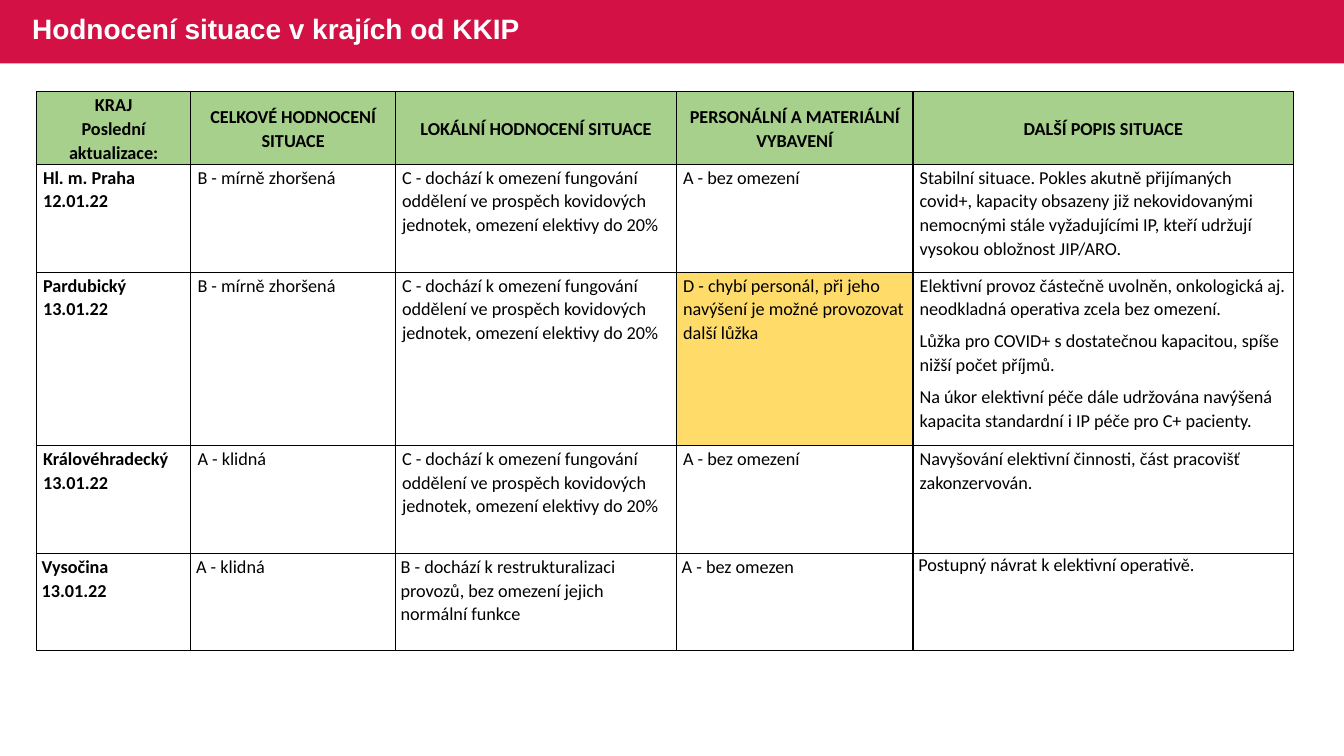
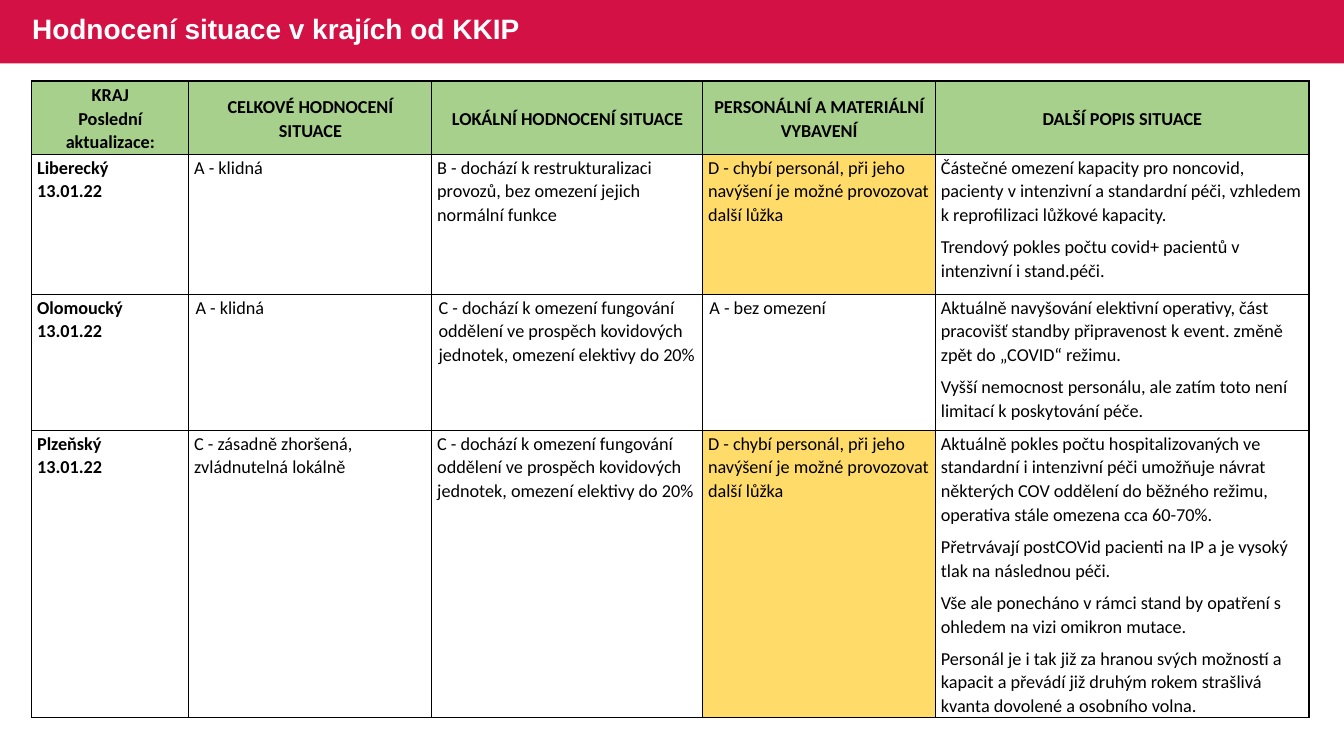
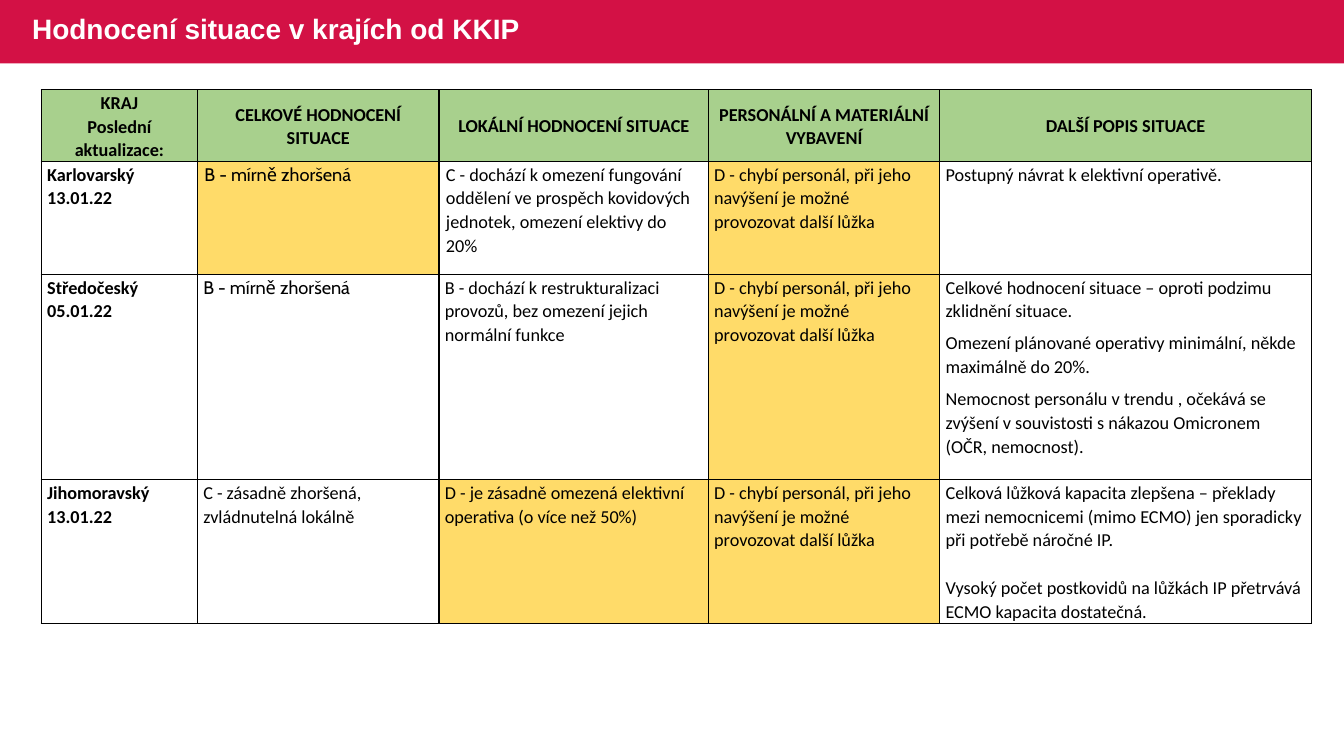
from dataclasses import dataclass

from lxml import etree
from pptx import Presentation
from pptx import util as u
from pptx.dml.color import RGBColor
from pptx.enum import shapes, text
from pptx.oxml import ns

Pt = u.Pt


@dataclass(frozen=True)
class Theme:
    band: str = "D31145"
    header: str = "A8D08D"
    alert: str = "FFDB69"
    paper: str = "FFFFFF"
    ink: str = "000000"
    title_font: str = "Arial"
    body_font: str = "Calibri"
    accent_font: str = "Cabin"
    title_size: float = 20
    body_size: float = 13
    line_spacing: float = 1.07
    border: float = 1


THEME = Theme()


@dataclass(frozen=True)
class Cell:
    words: str
    fill: str
    inset: float
    bold: bool = False
    centred: bool = False
    font: str = THEME.body_font
    gap: float = 0
    line_spacing: float = THEME.line_spacing


@dataclass(frozen=True)
class Region:
    name: str
    date: str
    overall: str
    local: str
    staffing: str
    description: str
    inset: float
    rating_inset: float | None = None
    staffing_inset: float | None = None
    overall_font: str = THEME.body_font
    overall_alert: bool = False
    description_gap: float = 6
    description_spacing: float = THEME.line_spacing


@dataclass(frozen=True)
class Overview:
    left: float
    top: float
    widths: tuple[float, ...]
    heights: tuple[float, ...]
    header_inset: float
    regions: tuple[Region, ...]


SLIDE_WIDTH, SLIDE_HEIGHT = 960, 540
BAND_HEIGHT = 45.4
TITLE = "Hodnocení situace v krajích od KKIP"
HEADINGS = (
    "KRAJ\nPoslední aktualizace:",
    "CELKOVÉ HODNOCENÍ SITUACE",
    "LOKÁLNÍ HODNOCENÍ SITUACE",
    "PERSONÁLNÍ A MATERIÁLNÍ VYBAVENÍ",
    "DALŠÍ POPIS SITUACE",
)

CALM = "A - klidná"
WORSE = "B - mírně zhoršená"
MUCH_WORSE = "C - zásadně zhoršená, zvládnutelná lokálně"
RESTRUCTURED = "B - dochází k restrukturalizaci provozů, bez omezení jejich normální funkce"
LIMITED = ("C - dochází k omezení fungování oddělení ve prospěch kovidových "
           "jednotek, omezení elektivy do 20%")
HEAVILY_LIMITED = "D - je zásadně omezená elektivní operativa (o více než 50%)"
UNRESTRICTED = "A - bez omezení"
UNDERSTAFFED = "D - chybí personál, při jeho navýšení je možné provozovat další lůžka"
RETURNING = "Postupný návrat k elektivní operativě."

OVERVIEWS = (
    Overview(
        26, 65.4, (110.3, 146.1, 200.8, 169, 271.8), (52, 77.2, 123.8, 77.2, 69), 4.8,
        (
            Region("Hl. m. Praha", "12.01.22", WORSE, LIMITED, UNRESTRICTED,
                   "Stabilní situace. Pokles akutně přijímaných covid+, kapacity obsazeny již "
                   "nekovidovanými nemocnými stále vyžadujícími IP, kteří udržují vysokou "
                   "obložnost JIP/ARO.", 4.8),
            Region("Pardubický", "13.01.22", WORSE, LIMITED, UNDERSTAFFED,
                   "Elektivní provoz částečně uvolněn, onkologická aj. neodkladná operativa "
                   "zcela bez omezení.\n"
                   "Lůžka pro COVID+ s dostatečnou kapacitou, spíše nižší počet příjmů.\n"
                   "Na úkor elektivní péče dále udržována navýšená kapacita standardní i IP "
                   "péče pro C+ pacienty.", 4.8),
            Region("Královéhradecký", "13.01.22", CALM, LIMITED, UNRESTRICTED,
                   "Navyšování elektivní činnosti, část pracovišť zakonzervován.", 4.8),
            Region("Vysočina", "13.01.22", CALM, RESTRUCTURED, "A - bez omezen",
                   RETURNING, 3.8, description_spacing=1),
        ),
    ),
    Overview(
        22.7, 57.9, (112.2, 173.6, 193.5, 166.3, 266.8), (52.4, 100, 97.2, 204.8), 3.8,
        (
            Region("Liberecký", "13.01.22", CALM, RESTRUCTURED, UNDERSTAFFED,
                   "Částečné omezení kapacity pro noncovid, pacienty v intenzivní a standardní "
                   "péči, vzhledem k reprofilizaci lůžkové kapacity.\n"
                   "Trendový pokles počtu covid+ pacientů v intenzivní i stand.péči.", 3.8),
            Region("Olomoucký", "13.01.22", CALM, LIMITED, UNRESTRICTED,
                   "Aktuálně navyšování elektivní operativy, část pracovišť standby "
                   "připravenost k event. změně zpět do „COVID“ režimu.\n"
                   "Vyšší nemocnost personálu, ale zatím toto není limitací k poskytování péče.",
                   3.8, rating_inset=4.8, staffing_inset=4.8),
            Region("Plzeňský", "13.01.22", MUCH_WORSE, LIMITED, UNDERSTAFFED,
                   "Aktuálně pokles počtu hospitalizovaných ve standardní i intenzivní péči "
                   "umožňuje návrat některých COV oddělení do běžného režimu, operativa stále "
                   "omezena cca 60-70%.\n"
                   "Přetrvávají postCOVid pacienti na IP a je vysoký tlak na následnou péči.\n"
                   "Vše ale ponecháno v rámci stand by opatření s ohledem na vizi omikron "
                   "mutace.\n"
                   "Personál je i tak již za hranou svých možností a kapacit a převádí již "
                   "druhým rokem strašlivá kvanta dovolené a osobního volna.", 3.8),
        ),
    ),
    Overview(
        29.5, 64, (111.5, 172.6, 192.4, 165.3, 265.4), (51.4, 80.6, 146.6, 102.9), 4.2,
        (
            Region("Karlovarský", "13.01.22", WORSE, LIMITED, UNDERSTAFFED, RETURNING,
                   4.2, rating_inset=5, overall_font=THEME.accent_font, overall_alert=True),
            Region("Středočeský", "05.01.22", WORSE, RESTRUCTURED, UNDERSTAFFED,
                   "Celkové hodnocení situace – oproti podzimu zklidnění situace.\n"
                   "Omezení plánované operativy minimální, někde maximálně do 20%.\n"
                   "Nemocnost personálu v trendu , očekává se zvýšení v souvistosti s nákazou "
                   "Omicronem (OČR, nemocnost).", 4.2, overall_font=THEME.accent_font),
            Region("Jihomoravský", "13.01.22", MUCH_WORSE, HEAVILY_LIMITED, UNDERSTAFFED,
                   "Celková lůžková kapacita zlepšena – překlady mezi nemocnicemi (mimo ECMO) "
                   "jen sporadicky při potřebě náročné IP.\n"
                   "Vysoký počet postkovidů na lůžkách IP přetrvává ECMO kapacita dostatečná.",
                   4.2, description_gap=17),
        ),
    ),
)


def style_font(font, name: str, size: float, color: str, bold: bool) -> None:
    font.name = name
    font.size = Pt(size)
    font.bold = bold
    font.color.rgb = RGBColor.from_string(color)


def draw_title(slide) -> None:
    band = slide.shapes.add_shape(
        shapes.MSO_SHAPE.RECTANGLE, 0, 0, Pt(SLIDE_WIDTH), Pt(BAND_HEIGHT))
    band.shadow.inherit = False
    band.fill.solid()
    band.fill.fore_color.rgb = RGBColor.from_string(THEME.band)
    band.line.fill.background()

    title = slide.shapes.add_textbox(Pt(15.8), Pt(-0.7), Pt(586), Pt(BAND_HEIGHT))
    frame = title.text_frame
    frame.word_wrap = True
    frame.vertical_anchor = text.MSO_ANCHOR.MIDDLE
    frame.text = TITLE
    heading = frame.paragraphs[0]
    heading.line_spacing = 0.9
    style_font(heading.runs[0].font, THEME.title_font, THEME.title_size, THEME.paper, True)


def draw_borders(target) -> None:
    properties = target._tc.get_or_add_tcPr()
    for side in ("a:lnL", "a:lnR", "a:lnT", "a:lnB"):
        line = etree.SubElement(properties, ns.qn(side), w=str(Pt(THEME.border)))
        fill = etree.SubElement(line, ns.qn("a:solidFill"))
        etree.SubElement(fill, ns.qn("a:srgbClr"), val=THEME.ink)


def draw_cell(target, cell: Cell) -> None:
    draw_borders(target)
    target.fill.solid()
    target.fill.fore_color.rgb = RGBColor.from_string(cell.fill)
    target.margin_left = target.margin_right = Pt(cell.inset)
    target.margin_top, target.margin_bottom = Pt(0.6), 0
    target.vertical_anchor = text.MSO_ANCHOR.MIDDLE if cell.centred else text.MSO_ANCHOR.TOP
    target.text_frame.text = cell.words
    for index, paragraph in enumerate(target.text_frame.paragraphs):
        paragraph.alignment = text.PP_ALIGN.CENTER if cell.centred else text.PP_ALIGN.LEFT
        paragraph.line_spacing = cell.line_spacing
        if index and cell.gap:
            paragraph.space_before = Pt(cell.gap)
        for run in paragraph.runs:
            style_font(run.font, cell.font, THEME.body_size, THEME.ink, cell.bold)


def rating_fill(rating: str) -> str:
    return THEME.alert if rating.startswith("D -") else THEME.paper


def region_cells(region: Region) -> list[Cell]:
    rating_inset = region.rating_inset or region.inset
    overall_fill = THEME.alert if region.overall_alert else rating_fill(region.overall)
    return [
        Cell(f"{region.name}\n{region.date}", THEME.paper, region.inset, bold=True),
        Cell(region.overall, overall_fill, rating_inset, font=region.overall_font),
        Cell(region.local, rating_fill(region.local), rating_inset),
        Cell(region.staffing, rating_fill(region.staffing),
             region.staffing_inset or region.inset),
        Cell(region.description, THEME.paper, region.inset, gap=region.description_gap,
             line_spacing=region.description_spacing),
    ]


def draw_overview(slide, overview: Overview) -> None:
    rows = [[Cell(heading, THEME.header, overview.header_inset, bold=True, centred=True)
             for heading in HEADINGS]]
    rows += [region_cells(region) for region in overview.regions]
    table = slide.shapes.add_table(
        len(rows), len(HEADINGS), Pt(overview.left), Pt(overview.top),
        Pt(sum(overview.widths)), Pt(sum(overview.heights))).table
    table.horz_banding = False
    for column, width in zip(table.columns, overview.widths):
        column.width = Pt(width)
    for row, height, cells in zip(table.rows, overview.heights, rows):
        row.height = Pt(height)
        for target, cell in zip(row.cells, cells):
            draw_cell(target, cell)


def main() -> None:
    deck = Presentation()
    deck.slide_width, deck.slide_height = Pt(SLIDE_WIDTH), Pt(SLIDE_HEIGHT)
    for overview in OVERVIEWS:
        slide = deck.slides.add_slide(deck.slide_layouts[6])
        draw_title(slide)
        draw_overview(slide, overview)
    deck.save("out.pptx")


if __name__ == "__main__":
    main()
